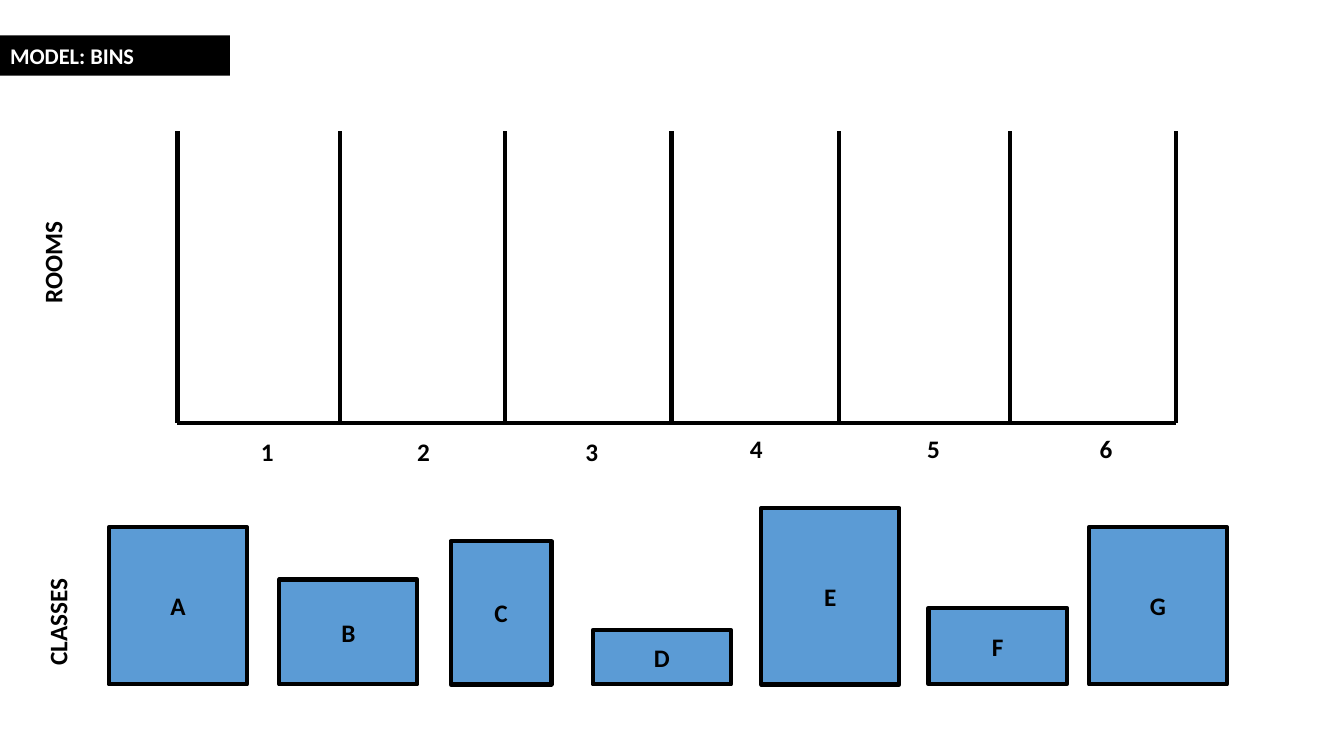
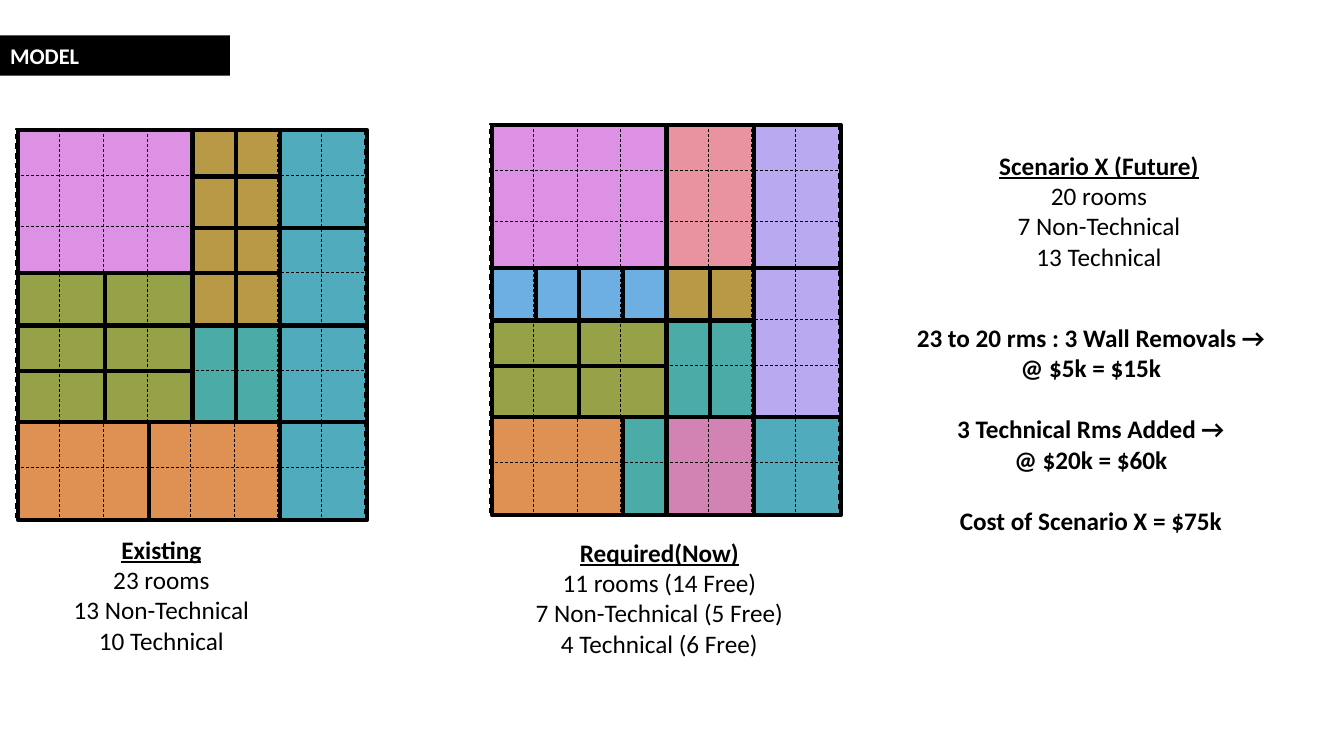
from lxml import etree
from pptx import Presentation
from pptx.dml.color import RGBColor
from pptx.enum.dml import MSO_LINE
from pptx.enum.shapes import MSO_CONNECTOR, MSO_SHAPE
from pptx.enum.text import MSO_ANCHOR, PP_ALIGN
from pptx.oxml.ns import qn
from pptx.util import Inches, Pt

RECT, LINE = MSO_SHAPE.RECTANGLE, MSO_CONNECTOR.STRAIGHT
DASH, TOP, MID = MSO_LINE.DASH, MSO_ANCHOR.TOP, MSO_ANCHOR.MIDDLE
LEFT, CENTER = PP_ALIGN.LEFT, PP_ALIGN.CENTER

THEME = {
    "ink": "000000", "paper": "FFFFFF", "class": "5B9BD5",
    "orchid": "DD91E5", "olive": "97A147", "orange": "DF9153",
    "teal": "4BABA7", "aqua": "50ABBD", "gold": "B89A46",
    "rose": "EA93A0", "sky": "6EAFE3", "lilac": "B9A9F1", "pink": "D383B3",
    "wall": 3, "edge": 1, "grid": 0.5,
    "head": {"name": "Calibri", "size": Pt(16), "bold": True},
    "bold": {"name": "Calibri", "size": Pt(18), "bold": True},
    "under": {"name": "Calibri", "size": Pt(18), "bold": True, "underline": True},
    "plain": {"name": "Calibri", "size": Pt(18), "bold": False},
}
SIZE = (13.33, 7.5)
BAND = (0, 0.35, 2.28, 0.4)

WALLS = (1.76, 3.37, 5.01, 6.66, 8.32, 10.02, 11.66)
ROOF, FLOOR = 1.3, 4.2
BINS = [("1", 2.65, 4.28), ("2", 4.2, 4.28), ("3", 5.87, 4.28),
        ("4", 7.5, 4.25), ("5", 9.26, 4.25), ("6", 10.97, 4.25)]
BASE = 6.79
CLASSES = [("A", 1.08, 1.37, 1.56), ("B", 2.77, 1.37, 1.04),
           ("C", 4.47, 1, 1.42), ("D", 5.88, 1.37, 0.54),
           ("E", 7.55, 1.37, 1.75), ("F", 9.21, 1.37, 0.76),
           ("G", 10.8, 1.37, 1.56)]
SIDES = [("ROOMS", -0.22, 2.17), ("CLASSES", -0.17, 5.76)]

WIDE, COUNT = 3.46, 8
COLS = [WIDE * i / COUNT for i in range(COUNT + 1)]
ROWS = (0, 0.46, 0.97, 1.42, 1.94, 2.39, 2.9, 3.36, 3.87)
# colour, first column and row, last column and row, rooms across and down
PLANS = [
    ((0.16, 1.28), [
        ("orchid", 0, 0, 4, 3, 1, 1), ("olive", 0, 3, 4, 6, 2, 3),
        ("orange", 0, 6, 6, 8, 2, 1), ("teal", 4, 4, 6, 6, 2, 1),
        ("aqua", 6, 0, 8, 8, 1, 4), ("gold", 4, 0, 6, 4, 2, 4)]),
    ((4.86, 1.23), [
        ("rose", 4, 0, 6, 3, 1, 1), ("sky", 0, 3, 4, 4, 4, 1),
        ("teal", 3, 6, 4, 8, 1, 1), ("lilac", 6, 0, 8, 6, 1, 2),
        ("pink", 4, 6, 6, 8, 1, 1), ("orchid", 0, 0, 4, 3, 1, 1),
        ("orange", 0, 6, 3, 8, 1, 1), ("teal", 4, 4, 6, 6, 2, 1),
        ("aqua", 6, 6, 8, 8, 1, 1), ("olive", 0, 4, 4, 6, 2, 2),
        ("gold", 4, 3, 6, 4, 2, 1)]),
]
NOTES = [
    ((0.39, 5.25, 2.42, 1.31),
     ["Existing", "23 rooms", "13 Non-Technical", "10 Technical"]),
    ((5.03, 5.28, 3.02, 1.31),
     ["Required(Now)", "11 rooms (14 Free)", "7 Non-Technical (5 Free)",
      "4 Technical (6 Free)"]),
    ((9.39, 1.44, 3.02, 1.31),
     ["Scenario X (Future)", "20 rooms", "7 Non-Technical", "13 Technical"]),
]
COSTS = ((8.62, 3.15, 4.4, 2.23), [
    ("23 to 20 rms : 3 Wall Removals →", 0), ("@ $5k = $15k", 0),
    ("3 Technical Rms Added →", 22), ("@ $20k = $60k", 0),
    ("Cost of Scenario X = $75k", 22)])


def tint(name):
    return RGBColor.from_string(THEME[name])


def place(box):
    return [Inches(v) for v in box]


def write(shape, lines, align=CENTER, anchor=TOP, ink="ink"):
    frame = shape.text_frame
    frame.word_wrap = True
    frame.vertical_anchor = anchor
    for i, (text, style, gap) in enumerate(lines):
        para = frame.add_paragraph() if i else frame.paragraphs[0]
        para.alignment = align
        if gap:
            para.space_before = Pt(gap)
        run = para.add_run()
        run.text = text
        for key, val in THEME[style].items():
            setattr(run.font, key, val)
        run.font.color.rgb = tint(ink)


def label(slide, box, lines, align=CENTER):
    shape = slide.shapes.add_textbox(*place(box))
    write(shape, lines, align)
    return shape


def stroke(line, width, dash=None):
    line.color.rgb = tint("ink")
    line.width = Pt(width)
    if dash:
        line.dash_style = dash


def block(slide, box, fill, width, dash=None):
    shape = slide.shapes.add_shape(RECT, *place(box))
    shape.shadow.inherit = False
    if fill:
        shape.fill.solid()
        shape.fill.fore_color.rgb = tint(fill)
    else:
        shape.fill.background()
    stroke(shape.line, width, dash)
    return shape


def rule(slide, ends, width, dash=None):
    line = slide.shapes.add_connector(LINE, *place(ends))
    stroke(line.line, width, dash)
    etree.SubElement(line._element.spPr, qn("a:effectLst"))


def start(deck, title):
    slide = deck.slides.add_slide(deck.slide_layouts[5])
    head = slide.shapes.title
    head.left, head.top, head.width, head.height = place(BAND)
    head.fill.solid()
    head.fill.fore_color.rgb = tint("ink")
    write(head, [(title, "head", 0)], LEFT, MID, "paper")
    return slide


def bins(deck):
    slide = start(deck, "MODEL: BINS")
    rule(slide, (WALLS[0], FLOOR, WALLS[-1], FLOOR), THEME["wall"])
    for x in WALLS:
        rule(slide, (x, ROOF, x, FLOOR), THEME["wall"])
    for name, mid, top in BINS:
        label(slide, (mid - 0.2, top, 0.4, 0.4), [(name, "bold", 0)])
    for name, x, wide, high in CLASSES:
        box = block(slide, (x, BASE - high, wide, high), "class", THEME["wall"])
        write(box, [(name, "bold", 0)], anchor=MID)
    for name, x, y in SIDES:
        side = label(slide, (x, y, 1.48, 0.4), [(name, "bold", 0)], LEFT)
        side.rotation = 270


def plan(slide, left, top, rooms):
    for fill, c1, r1, c2, r2, across, down in rooms:
        dc, dr = (c2 - c1) // across, (r2 - r1) // down
        for c in range(c1, c2, dc):
            for r in range(r1, r2, dr):
                box = (left + COLS[c] + 0.02, top + ROWS[r] + 0.01,
                       COLS[c + dc] - COLS[c], ROWS[r + dr] - ROWS[r])
                block(slide, box, fill, THEME["wall"])
    right, foot = left + WIDE, top + ROWS[-1]
    block(slide, (left, top, WIDE, ROWS[-1]), None, THEME["edge"], DASH)
    for x in COLS[1:-1]:
        rule(slide, (left + x, top, left + x, foot), THEME["grid"], DASH)
    for y in ROWS[1:-1]:
        rule(slide, (left, top + y, right, top + y), THEME["grid"], DASH)


def model(deck):
    slide = start(deck, "MODEL")
    for (left, top), rooms in PLANS:
        plan(slide, left, top, rooms)
    for box, (head, *rest) in NOTES:
        label(slide, box, [(head, "under", 0)] + [(t, "plain", 0) for t in rest])
    box, lines = COSTS
    label(slide, box, [(text, "bold", gap) for text, gap in lines])


def main():
    deck = Presentation()
    deck.slide_width, deck.slide_height = place(SIZE)
    bins(deck)
    model(deck)
    deck.save("out.pptx")


if __name__ == "__main__":
    main()
